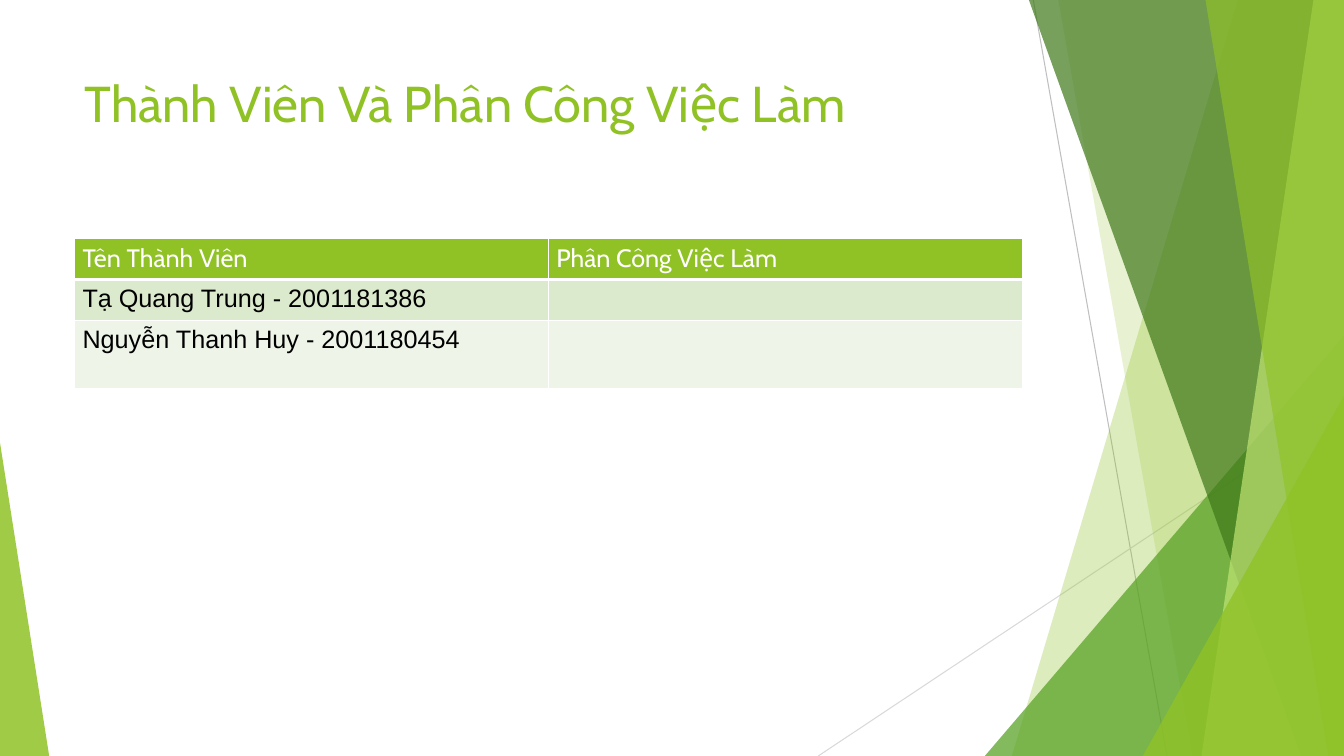
import pptx
import pptx.dml.color
import pptx.enum.shapes
import pptx.enum.text
import pptx.oxml
import pptx.oxml.ns
import pptx.util

Cm = pptx.util.Cm
Pt = pptx.util.Pt

WIDTH, HEIGHT = 33.87, 19.05
LEFT, CONTENT_WIDTH = 1.88, 23.88
GREEN, WHITE, BLACK = "90C226", "FFFFFF", "000000"

HEADING = "Thành Viên Và Phân Công Việc Làm"
MEMBERS = [
    ("Tên Thành Viên", "Phân Công Việc Làm"),
    ("Tạ Quang Trung - 2001181386", ""),
    ("Nguyễn Thanh Huy - 2001180454", ""),
]
ROW_STYLES = [
    (1.04, GREEN, "Cabin", WHITE, 1, 3),
    (1.04, "DBE9CD", "Arial", BLACK, 3, 1),
    (1.7, "EEF4E8", "Arial", BLACK, 1, 1),
]
RAYS = [
    ((26.04, 0), (29.41, HEIGHT), "BFBFBF"),
    ((WIDTH, 10.24), (20.62, HEIGHT), "D9D9D9"),
]
FACETS = [
    ("band", 31.19, 25.5, GREEN, 30),
    ("band", 26.67, 30.05, GREEN, 20),
    ("triangle", (24.82, 8.46), (WIDTH, 1), "54A021", 72),
    ("band", 25.93, 32.79, "3F7819", 70),
    ("band", 33.1, 30.28, "C0E474", 70),
    ("band", 30.38, 33.48, GREEN, 65),
    ("triangle", (28.8, 9.98), (WIDTH, 1), GREEN, 80),
    ("triangle", (0, 11.15), (1.24, 0), GREEN, 85),
]


def color(value):
    return pptx.dml.color.RGBColor.from_string(value)


def add_run(paragraph, text, size, font, shade):
    run = paragraph.add_run()
    run.text = text
    run.font.size = Pt(size)
    run.font.name = font
    run.font.bold = False
    run.font.color.rgb = color(shade)


def add_ray(slide, start, end, shade):
    ray = slide.shapes.add_connector(
        pptx.enum.shapes.MSO_CONNECTOR.STRAIGHT,
        *(Cm(value) for value in start + end))
    ray.line.color.rgb = color(shade)
    ray.line.width = Pt(0.75)
    properties = ray.element.find(pptx.oxml.ns.qn("p:spPr"))
    properties.append(pptx.oxml.parse_xml(
        f'<a:effectLst {pptx.oxml.ns.nsdecls("a")}/>'))


def add_band(slide, top_x, bottom_x):
    corners = [(top_x, 0), (WIDTH, 0), (WIDTH, HEIGHT), (bottom_x, HEIGHT)]
    points = [(Cm(x), Cm(y)) for x, y in corners]
    builder = slide.shapes.build_freeform(*points[0])
    builder.add_line_segments(points[1:], close=True)
    return builder.convert_to_shape()


def add_triangle(slide, corner, extent):
    (left, top), (right, apex) = corner, extent
    triangle = slide.shapes.add_shape(
        pptx.enum.shapes.MSO_SHAPE.ISOSCELES_TRIANGLE,
        Cm(left), Cm(top), Cm(right - left), Cm(HEIGHT - top))
    triangle.adjustments[0] = apex
    return triangle


def paint_facet(facet, shade, opacity):
    facet.shadow.inherit = False
    facet.line.fill.background()
    facet.fill.solid()
    facet.fill.fore_color.rgb = color(shade)
    tint = next(facet.element.iter(pptx.oxml.ns.qn("a:srgbClr")))
    tint.append(pptx.oxml.parse_xml(
        f'<a:alpha {pptx.oxml.ns.nsdecls("a")} val="{opacity * 1000}"/>'))


def add_borders(cell, top, bottom):
    properties = cell._tc.get_or_add_tcPr()
    for side, width in (("L", 1), ("R", 1), ("T", top), ("B", bottom)):
        properties.append(pptx.oxml.parse_xml(
            f'<a:ln{side} {pptx.oxml.ns.nsdecls("a")} w="{Pt(width)}">'
            f'<a:solidFill><a:srgbClr val="{WHITE}"/></a:solidFill></a:ln{side}>'))


def add_heading(slide):
    heading = slide.shapes.title
    heading.element.getparent().append(heading.element)
    heading.left, heading.top = Cm(LEFT), Cm(1.7)
    heading.width, heading.height = Cm(CONTENT_WIDTH), Cm(3.66)
    frame = heading.text_frame
    frame.word_wrap = True
    frame.vertical_anchor = pptx.enum.text.MSO_ANCHOR.TOP
    paragraph = frame.paragraphs[0]
    paragraph.alignment = pptx.enum.text.PP_ALIGN.LEFT
    add_run(paragraph, HEADING, 36, "Cabin", GREEN)


def add_members(slide):
    total = sum(style[0] for style in ROW_STYLES)
    members = slide.shapes.add_table(
        len(MEMBERS), len(MEMBERS[0]),
        Cm(LEFT), Cm(6), Cm(CONTENT_WIDTH), Cm(total)).table
    for row, texts, style in zip(members.rows, MEMBERS, ROW_STYLES):
        height, fill, font, shade, top, bottom = style
        row.height = Cm(height)
        for cell, text in zip(row.cells, texts):
            cell.margin_left = cell.margin_right = Cm(0.2)
            cell.margin_top = cell.margin_bottom = Cm(0.13)
            add_borders(cell, top, bottom)
            cell.fill.solid()
            cell.fill.fore_color.rgb = color(fill)
            if text:
                add_run(cell.text_frame.paragraphs[0], text, 18, font, shade)


def main():
    deck = pptx.Presentation()
    deck.slide_width, deck.slide_height = Cm(WIDTH), Cm(HEIGHT)
    slide = deck.slides.add_slide(deck.slide_layouts[5])
    for start, end, shade in RAYS:
        add_ray(slide, start, end, shade)
    builders = {"band": add_band, "triangle": add_triangle}
    for kind, first, second, shade, opacity in FACETS:
        paint_facet(builders[kind](slide, first, second), shade, opacity)
    add_heading(slide)
    add_members(slide)
    deck.save("out.pptx")


if __name__ == "__main__":
    main()
